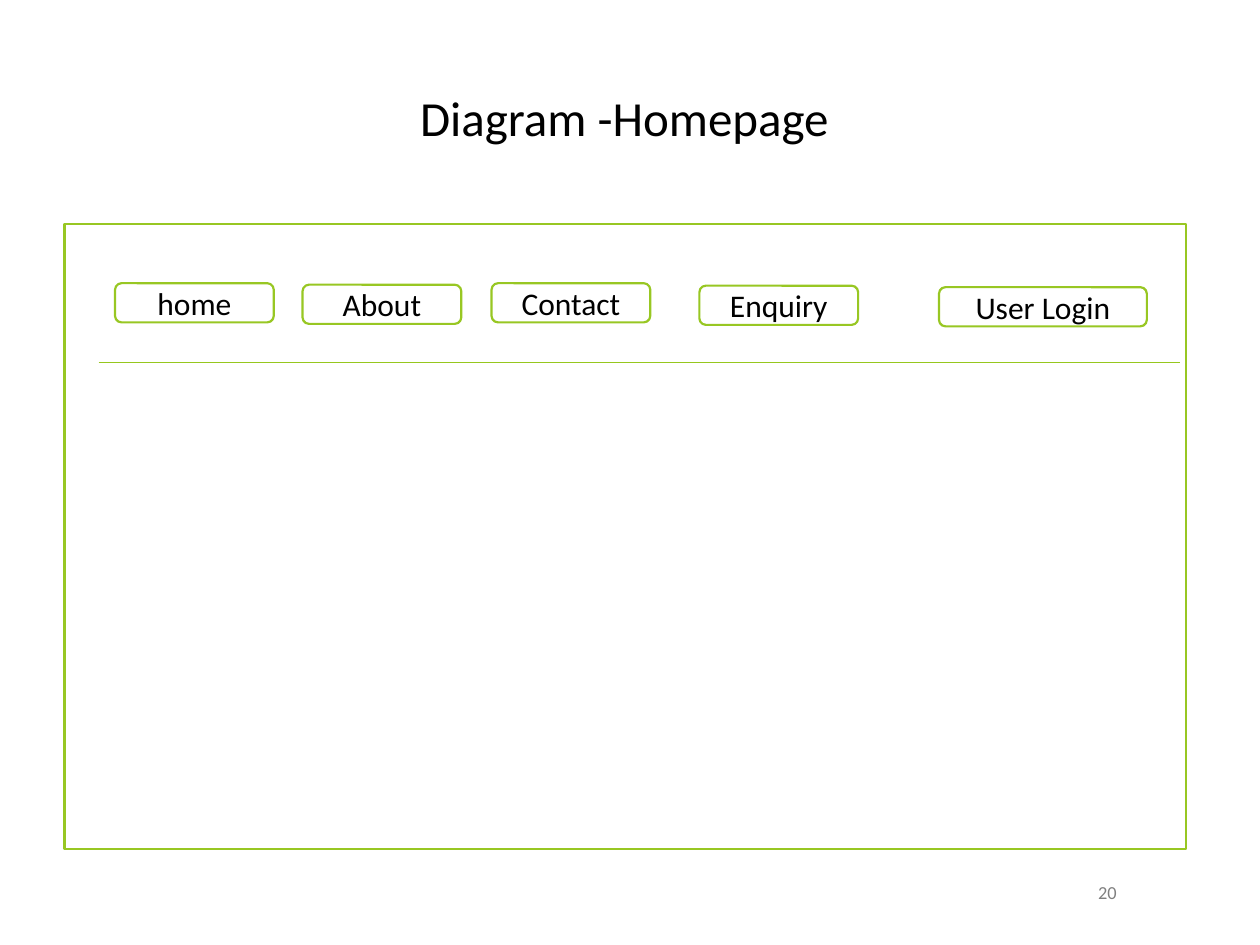
from collections import namedtuple
from dataclasses import dataclass

from lxml import etree
from pptx import Presentation
from pptx import util as u
from pptx.dml.color import RGBColor
from pptx.enum import shapes, text
from pptx.oxml.ns import qn

Box = namedtuple("Box", "left top width height")  # centimetres


@dataclass(frozen=True)
class Theme:
    font: str = "Calibri"
    ink: str = "000000"
    muted: str = "808080"
    paper: str = "FFFFFF"
    green: str = "98C723"
    rule: str = "96C71E"
    title_size: float = 28
    button_size: float = 18
    number_size: float = 10.5
    border: float = 1.25
    rule_width: float = 0.75


THEME = Theme()


def rgb(value):
    return RGBColor.from_string(value)


def lengths(box):
    return [u.Cm(value) for value in box]


def set_text(sp, words, size, color):
    tf = sp.text_frame
    tf.word_wrap = True
    tf.auto_size = text.MSO_AUTO_SIZE.NONE
    tf.vertical_anchor = text.MSO_ANCHOR.MIDDLE
    tf.text = words
    p = tf.paragraphs[0]
    p.alignment = text.PP_ALIGN.CENTER
    p.font.name = THEME.font
    p.font.size = u.Pt(size)
    p.font.color.rgb = rgb(color)
    return tf


def add_outlined(s, kind, box):
    sp = s.shapes.add_shape(kind, *lengths(box))
    sp.shadow.inherit = False
    sp.fill.solid()
    sp.fill.fore_color.rgb = rgb(THEME.paper)
    sp.line.color.rgb = rgb(THEME.green)
    sp.line.width = u.Pt(THEME.border)
    return sp


def add_title(s, box):
    sp = s.shapes.title
    sp.left, sp.top, sp.width, sp.height = lengths(box)
    set_text(sp, "Diagram -Homepage", THEME.title_size, THEME.ink)


def add_slide_number(s, box):
    sp = s.shapes.add_textbox(*lengths(box))
    tf = set_text(sp, "20", THEME.number_size, THEME.muted)
    tf.margin_left = tf.margin_right = tf.margin_top = tf.margin_bottom = 0


def add_homepage(s, box):
    # Page frame
    add_outlined(s, shapes.MSO_SHAPE.RECTANGLE, box)

    # Navigation buttons: label, offset across, offset down, width
    buttons = [
        ("home", 1.02, 1.19, 3.2),
        ("About", 4.8, 1.22, 3.2),
        ("Contact", 8.61, 1.19, 3.2),
        ("Enquiry", 12.8, 1.24, 3.2),
        ("User Login", 17.63, 1.27, 4.19),
    ]
    for label, dx, dy, width in buttons:
        button = Box(box.left + dx, box.top + dy, width, 0.79)
        sp = add_outlined(s, shapes.MSO_SHAPE.ROUNDED_RECTANGLE, button)
        set_text(sp, label, THEME.button_size, THEME.ink)

    # Rule below the navigation
    y = u.Cm(box.top + 2.79)
    rule = s.shapes.add_connector(
        shapes.MSO_CONNECTOR.STRAIGHT,
        u.Cm(box.left + 0.69), y, u.Cm(box.left + 22.48), y)
    rule.line.color.rgb = rgb(THEME.rule)
    rule.line.width = u.Pt(THEME.rule_width)
    etree.SubElement(rule._element.spPr, qn("a:effectLst"))


def main():
    prs = Presentation()
    prs.slide_width, prs.slide_height = u.Cm(25.4), u.Cm(19.05)
    s = prs.slides.add_slide(prs.slide_layouts[5])
    s.background.fill.solid()
    s.background.fill.fore_color.rgb = rgb(THEME.paper)
    add_title(s, Box(1.27, 0.76, 22.63, 3.18))
    add_slide_number(s, Box(21.59, 17.78, 1.47, 0.43))
    add_homepage(s, Box(1.3, 4.52, 22.61, 12.6))
    prs.save("out.pptx")


if __name__ == "__main__":
    main()
